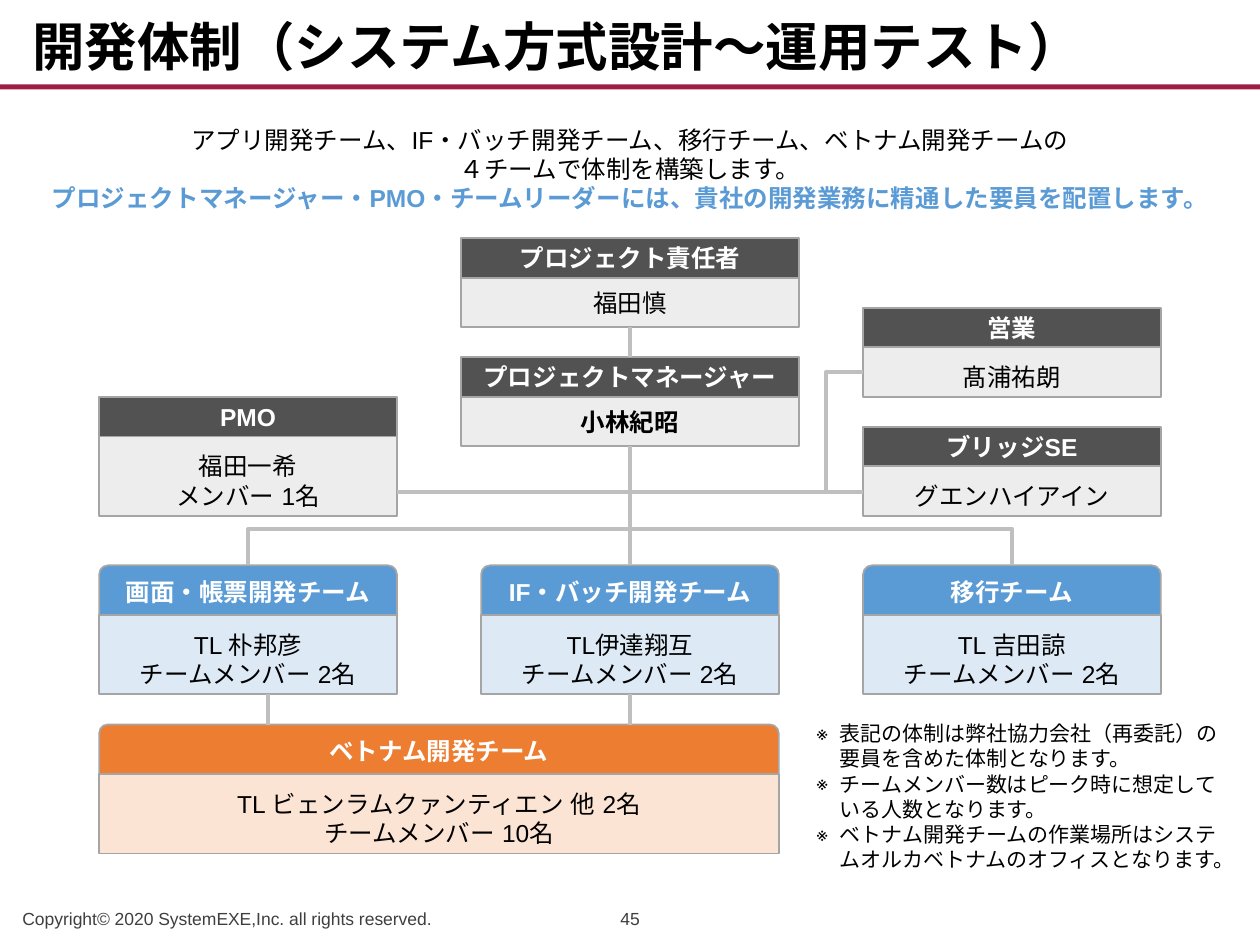
import pptx
import pptx.util
import pptx.dml.color
import pptx.enum.dml
import pptx.enum.lang
import pptx.enum.shapes
import pptx.enum.text
import pptx.oxml
import pptx.oxml.ns
from lxml import etree

Pt = pptx.util.Pt
qn = pptx.oxml.ns.qn
SHAPE = pptx.enum.shapes.MSO_SHAPE
CONNECTOR = pptx.enum.shapes.MSO_CONNECTOR
ANCHOR = pptx.enum.text.MSO_ANCHOR
ALIGN = pptx.enum.text.PP_ALIGN

COLORS = {
    "black": "000000", "white": "FFFFFF", "gray": "3F3F3F", "crimson": "A01D45",
    "border": "A5A5A5", "link": "BFBFBF", "blue": "5B9BD5", "pale blue": "DDEAF6",
    "orange": "ED7D31", "pale orange": "FBE4D4", "dark": "525252", "light": "EDEDED",
}
TITLE = "開発体制（システム方式設計～運用テスト）"
LEAD = [
    ("アプリ開発チーム、IF・バッチ開発チーム、移行チーム、ベトナム開発チームの", {}),
    ("４チームで体制を構築します。", {}),
    ("プロジェクトマネージャー・PMO・チームリーダーには、貴社の開発業務に精通した要員を配置します。",
     {"color": "blue", "bold": True}),
]
NOTES = [
    "表記の体制は弊社協力会社（再委託）の要員を含めた体制となります。",
    "チームメンバー数はピーク時に想定している人数となります。",
    "ベトナム開発チームの作業場所はシステムオルカベトナムのオフィスとなります。",
]
COPYRIGHT = "Copyright© 2020 SystemEXE,Inc. all rights reserved."
PAGE = "45"

COLUMNS = [56.7, 274.95, 493.2]
CARD, LEADER_CARD = 170.1, 193
CENTERS = [left + CARD / 2 for left in COLUMNS]
CENTER = CENTERS[1]
LEADER_LEFT = CENTER - LEADER_CARD / 2
WIDE = COLUMNS[1] + CARD - COLUMNS[0]
HEAD, TEAM_HEAD, ONE_LINE, TWO_LINES = 22.7, 28.3, 28.3, 45.4
TEAM_TOP, VIETNAM_TOP = 323.1, 414
TEAM_BOTTOM = TEAM_TOP + TEAM_HEAD + TWO_LINES
STAFF_Y, SPLIT_Y, SALES_Y = 281, 292.3, 212.6

OFFICES = [
    (LEADER_LEFT, 136.1, LEADER_CARD, "プロジェクト責任者", ["福田慎"], False),
    (LEADER_LEFT, 204.1, LEADER_CARD, "プロジェクトマネージャー", ["小林紀昭"], True),
    (COLUMNS[0], 226.8, CARD, "PMO", ["福田一希", "メンバー 1名"], False),
    (COLUMNS[2], 175.8, CARD, "営業", ["髙浦祐朗"], False),
    (COLUMNS[2], 243.8, CARD, "ブリッジSE", ["グエンハイアイン"], False),
]
TEAMS = [
    (COLUMNS[0], TEAM_TOP, CARD, "画面・帳票開発チーム", ["TL 朴邦彦", "チームメンバー 2名"], "blue"),
    (COLUMNS[1], TEAM_TOP, CARD, "IF・バッチ開発チーム", ["TL伊達翔互", "チームメンバー 2名"], "blue"),
    (COLUMNS[2], TEAM_TOP, CARD, "移行チーム", ["TL 吉田諒", "チームメンバー 2名"], "blue"),
    (COLUMNS[0], VIETNAM_TOP, WIDE, "ベトナム開発チーム",
     ["TL ビェンラムクァンティエン 他 2名", "チームメンバー 10名"], "orange"),
]
STRAIGHT_LINKS = [
    (CENTER, 187.1, CENTER, 204.1),
    (CENTER, 255.1, CENTER, TEAM_TOP),
    (COLUMNS[0] + CARD, STAFF_Y, COLUMNS[2], STAFF_Y),
    (153.1, TEAM_BOTTOM, 153.1, VIETNAM_TOP),
    (CENTER, TEAM_BOTTOM, CENTER, VIETNAM_TOP),
]


def rgb(name):
    return pptx.dml.color.RGBColor.from_string(COLORS[name])


def write(frame, lines, size=14, color="black", bold=False, align=ALIGN.CENTER,
          anchor=ANCHOR.TOP, margins=(7.2, 3.6, 7.2, 3.6), spacing=1.0, bullet=None):
    frame.word_wrap = True
    frame.auto_size = pptx.enum.text.MSO_AUTO_SIZE.NONE
    frame.vertical_anchor = anchor
    for side, margin in zip(("left", "top", "right", "bottom"), margins):
        setattr(frame, f"margin_{side}", Pt(margin))
    for index, line in enumerate(lines):
        text, changes = line if isinstance(line, tuple) else (line, {})
        paragraph = frame.paragraphs[0] if index == 0 else frame.add_paragraph()
        if bullet:
            properties = paragraph._p.get_or_add_pPr()
            properties.set("marL", str(Pt(13.5)))
            properties.set("indent", str(-Pt(13.5)))
            bullet_color = etree.SubElement(properties, qn("a:buClr"))
            etree.SubElement(bullet_color, qn("a:srgbClr"), val=COLORS[color])
            etree.SubElement(properties, qn("a:buChar"), char=bullet)
        layout = {"alignment": align, "line_spacing": spacing,
                  "space_before": Pt(0), "space_after": Pt(0)}
        for name, value in layout.items():
            setattr(paragraph, name, value)
        run = paragraph.add_run()
        run.text = text
        formats = {"name": "Arial", "size": Pt(size), "bold": changes.get("bold", bold),
                   "language_id": pptx.enum.lang.MSO_LANGUAGE_ID.JAPANESE}
        for name, value in formats.items():
            setattr(run.font, name, value)
        run.font.color.rgb = rgb(changes.get("color", color))
        etree.SubElement(run._r.get_or_add_rPr(), qn("a:ea"), typeface="Arial")


def place(shape, left, top, width, height):
    for name, value in zip(("left", "top", "width", "height"), (left, top, width, height)):
        setattr(shape, name, Pt(value))


def add_text(slide, box, lines, **formats):
    write(slide.shapes.add_textbox(*map(Pt, box)).text_frame, lines, **formats)


def add_box(slide, kind, box, fill, border=None):
    shape = slide.shapes.add_shape(kind, *map(Pt, box))
    shape.shadow.inherit = False
    shape.fill.solid()
    shape.fill.fore_color.rgb = rgb(fill)
    if border:
        shape.line.color.rgb = rgb(border)
        shape.line.width = Pt(1)
    else:
        shape.line.fill.background()
    return shape


def add_card(slide, left, top, width, heading, members, head_height, fills,
             kind=SHAPE.RECTANGLE, bold=False, centered=False):
    head = add_box(slide, kind, (left, top, width, head_height), fills[0], "border")
    if kind == SHAPE.ROUND_2_SAME_RECTANGLE:
        head.adjustments[0] = 0.18
    tight = {"anchor": ANCHOR.MIDDLE, "margins": (2.8, 3.6, 2.8, 3.6)}
    write(head.text_frame, [heading], color="white", bold=True, **tight)
    height = ONE_LINE if len(members) == 1 else TWO_LINES
    body = add_box(slide, SHAPE.RECTANGLE, (left, top + head_height, width, height),
                   fills[1], "border")
    placement = tight if centered else {"margins": (5.7, 8.5, 5.7, 3.6)}
    write(body.text_frame, members, bold=bold, **placement)


def add_link(slide, points, kind=CONNECTOR.STRAIGHT):
    connector = slide.shapes.add_connector(kind, *map(Pt, points))
    connector.line.color.rgb = rgb("link")
    connector.line.width = Pt(2.25)
    etree.SubElement(connector._element.spPr, qn("a:effectLst"))
    return connector


def add_branch(slide, start_x, start_y, end_x, end_y, bend_y):
    middle_x, middle_y = (start_x + end_x) / 2, (start_y + end_y) / 2
    half_drop, half_span = (end_y - start_y) / 2, abs(end_x - start_x) / 2
    side = 1 if end_x < start_x else -1
    connector = add_link(slide, (middle_x - side * half_drop, middle_y - half_span,
                                 middle_x + side * half_drop, middle_y + half_span),
                         CONNECTOR.ELBOW)
    properties = connector._element.spPr
    properties.find(qn("a:xfrm")).set("rot", str((90 if side == 1 else 270) * 60000))
    guides = properties.find(qn("a:prstGeom")).find(qn("a:avLst"))
    ratio = round((bend_y - start_y) / (end_y - start_y) * 100000)
    etree.SubElement(guides, qn("a:gd"), name="adj1", fmla=f"val {ratio}")


def main():
    presentation = pptx.Presentation()
    presentation.slide_width, presentation.slide_height = Pt(720), Pt(540)
    slide = presentation.slides.add_slide(presentation.slide_layouts[1])
    title, notes = slide.placeholders
    add_box(slide, SHAPE.RECTANGLE, (0, 48.2, 720, 2.9), "crimson")
    place(title, 11.3, 2.8, 697.5, 45.4)
    write(title.text_frame, [TITLE], size=30, bold=True, align=ALIGN.LEFT,
          anchor=ANCHOR.BOTTOM, spacing=0.9)
    place(notes, 459.2, 408.2, 249.4, 96.5)
    write(notes.text_frame, NOTES, size=12, align=ALIGN.LEFT, bullet="※")
    add_text(slide, (11.3, 67.7, 697.5, 42.5), LEAD)
    footer = {"size": 10, "color": "gray", "anchor": ANCHOR.BOTTOM}
    add_text(slide, (5.7, 512, 306, 22.5), [COPYRIGHT], align=ALIGN.LEFT, **footer)
    add_text(slide, (331.7, 512, 56.7, 22.5), [PAGE], **footer)

    for left, top, width, heading, members, bold in OFFICES:
        add_card(slide, left, top, width, heading, members, HEAD, ("dark", "light"),
                 bold=bold, centered=left == LEADER_LEFT)
    for left, top, width, heading, members, color in TEAMS:
        add_card(slide, left, top, width, heading, members, TEAM_HEAD,
                 (color, f"pale {color}"), kind=SHAPE.ROUND_2_SAME_RECTANGLE)
    for points in STRAIGHT_LINKS:
        add_link(slide, points)
    for center in (CENTERS[0], CENTERS[2]):
        add_branch(slide, CENTER, SPLIT_Y, center, TEAM_TOP, SPLIT_Y + 9.8)
    add_link(slide, (450.7, STAFF_Y, COLUMNS[2], SALES_Y), CONNECTOR.ELBOW)
    presentation.save("out.pptx")


if __name__ == "__main__":
    main()
